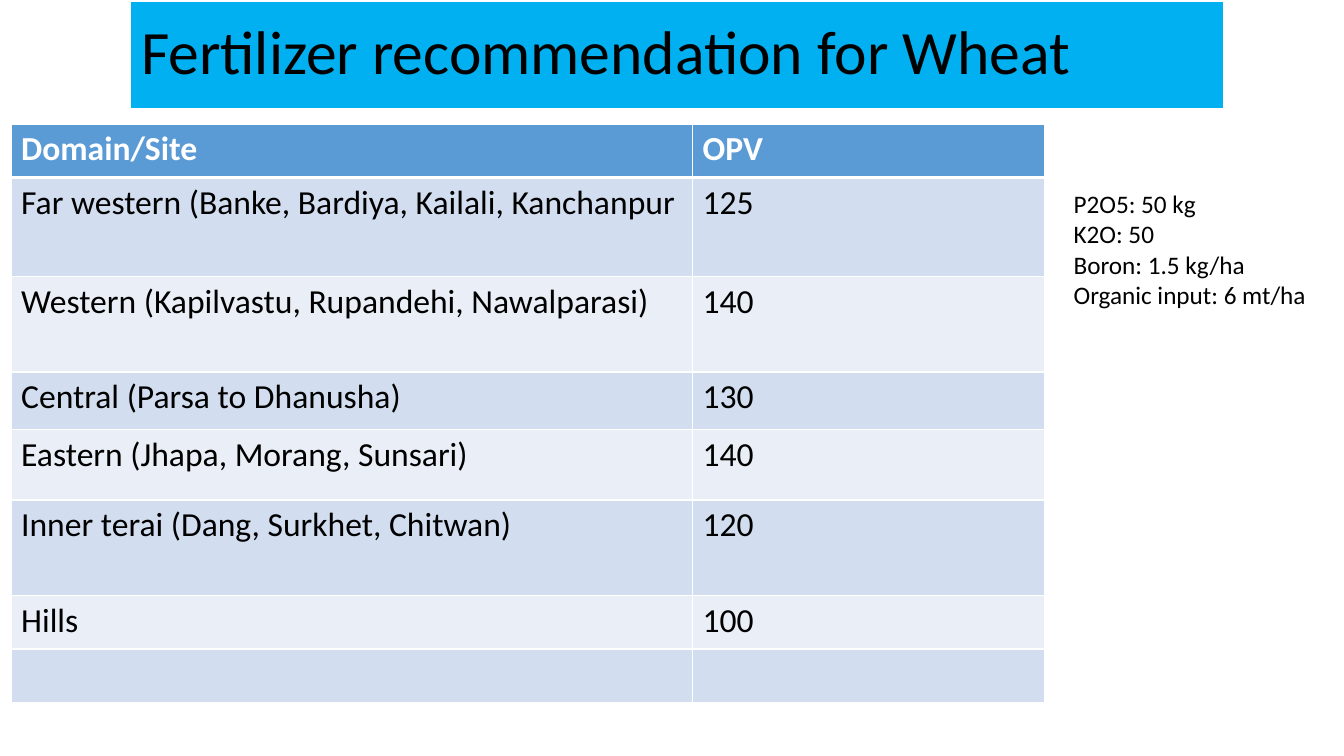
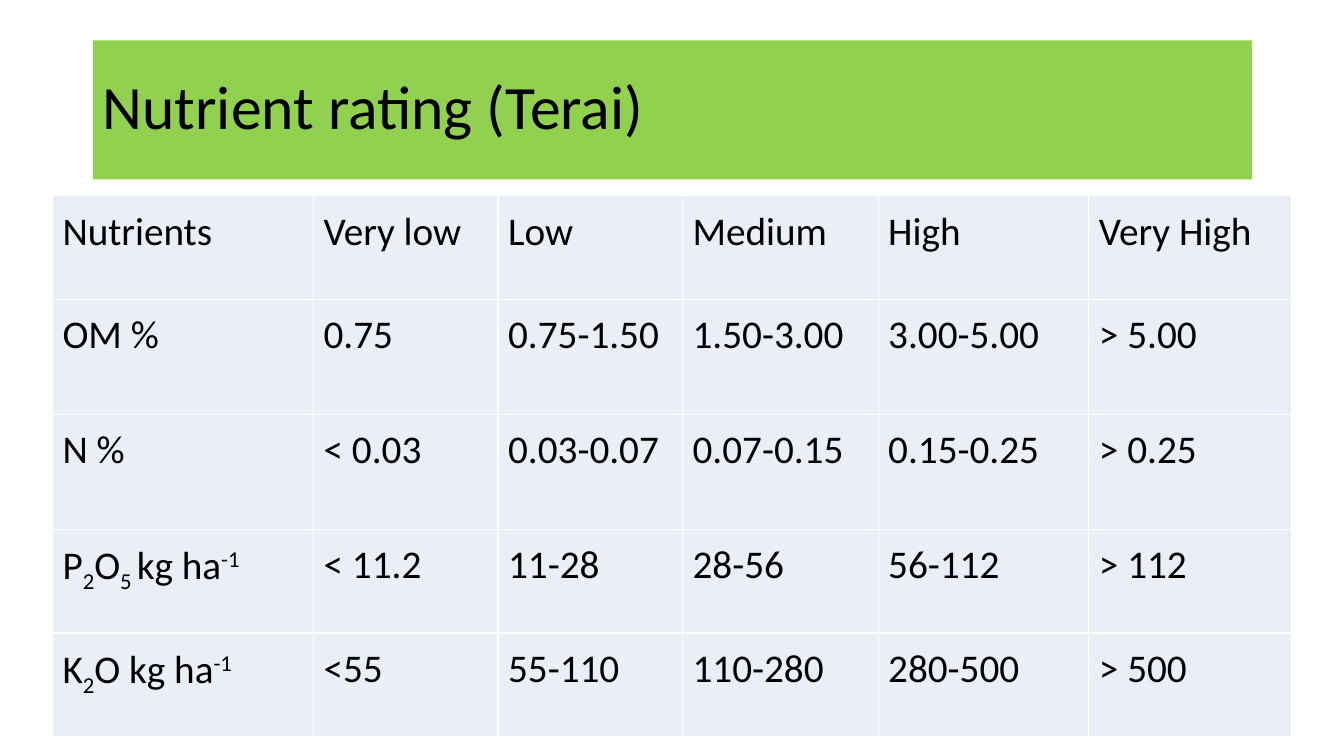
from dataclasses import dataclass

from lxml.etree import SubElement
from pptx import Presentation
from pptx.dml.color import RGBColor as Color
from pptx.enum.text import MSO_ANCHOR as Anchor, MSO_AUTO_SIZE as AutoSize, PP_ALIGN as Align
from pptx.oxml.ns import qn
from pptx.util import Inches, Pt


@dataclass(frozen=True)
class Theme:
    font: str = "Calibri"
    ink: str = "000000"
    paper: str = "FFFFFF"
    wheat_band: str = "00B0F0"
    rating_band: str = "92D050"
    header: str = "5B9BD5"
    row_dark: str = "D2DEEF"
    row_light: str = "EAEFF7"
    title_size: int = 44
    rating_size: int = 28
    site_size: int = 24
    note_size: int = 18
    rule: int = 1
    header_rule: int = 3


THEME = Theme()
BASELINES = {"sub": "-25000", "super": "30000"}

SITES = [
    ("Domain/Site", "OPV"),
    ("Far western (Banke, Bardiya, Kailali, Kanchanpur", "125"),
    ("Western (Kapilvastu, Rupandehi, Nawalparasi)", "140"),
    ("Central (Parsa to Dhanusha)", "130"),
    ("Eastern (Jhapa, Morang, Sunsari)", "140"),
    ("Inner terai (Dang, Surkhet, Chitwan)", "120"),
    ("Hills", "100"),
    ("", ""),
]
INPUTS = ["P2O5: 50 kg", "K2O: 50", "Boron: 1.5 kg/ha", "Organic input: 6 mt/ha"]

PHOSPHATE = [("P", ""), ("2", "sub"), ("O", ""), ("5 ", "sub"), ("kg ha", ""), ("-1", "super")]
POTASH = [("K", ""), ("2", "sub"), ("O kg ha", ""), ("-1", "super")]
RATINGS = [
    ("Nutrients", "Very low", "Low", "Medium", "High", "Very High"),
    ("OM %", "0.75", "0.75-1.50", "1.50-3.00", "3.00-5.00", "> 5.00"),
    ("N %", "< 0.03", "0.03-0.07", "0.07-0.15", "0.15-0.25", "> 0.25"),
    (PHOSPHATE, "< 11.2", "11-28", "28-56", "56-112", "> 112"),
    (POTASH, "<55", "55-110", "110-280", "280-500", "> 500"),
]


def style_font(para, size, color=THEME.ink, bold=False):
    para.font.name = THEME.font
    para.font.size = Pt(size)
    para.font.bold = bold
    para.font.color.rgb = Color.from_string(color)


def write_spans(para, content):
    spans = [(content, "")] if isinstance(content, str) else content
    for text, position in spans:
        if text:
            span = para.add_run()
            span.text = text
            if position:
                span._r.get_or_add_rPr().set("baseline", BASELINES[position])


def add_titled_page(deck, title, box, band):
    page = deck.slides.add_slide(deck.slide_layouts.get_by_name("Title Only"))
    shape = page.shapes.title
    shape.left, shape.top, shape.width, shape.height = map(Inches, box)
    shape.fill.solid()
    shape.fill.fore_color.rgb = Color.from_string(band)
    frame = shape.text_frame
    frame.text = title
    frame.auto_size = AutoSize.NONE
    frame.vertical_anchor = Anchor.MIDDLE
    para = frame.paragraphs[0]
    para.alignment = Align.LEFT
    para.line_spacing = 0.9
    style_font(para, THEME.title_size)
    return page


def add_borders(cell, top, bottom):
    properties = cell._tc.get_or_add_tcPr()
    widths = {"a:lnL": THEME.rule, "a:lnR": THEME.rule, "a:lnT": top, "a:lnB": bottom}
    for tag, width in widths.items():
        line = SubElement(properties, qn(tag), w=str(Pt(width)))
        SubElement(SubElement(line, qn("a:solidFill")), qn("a:srgbClr"), val=THEME.paper)


def add_grid(page, origin, widths, heights, rows, size, fills,
             has_header=False, line_spacing=None, space_after=0):
    left, top = origin
    box = map(Inches, (left, top, sum(widths), sum(heights)))
    table = page.shapes.add_table(len(rows), len(widths), *box).table
    table.first_row = has_header
    table.horz_banding = False
    for column, width in zip(table.columns, widths):
        column.width = Inches(width)
    for row, height in zip(table.rows, heights):
        row.height = Inches(height)
    for row_index, row in enumerate(rows):
        is_header = has_header and row_index == 0
        below_header = has_header and row_index == 1
        fill = THEME.header if is_header else fills[row_index % len(fills)]
        for column_index, content in enumerate(row):
            cell = table.cell(row_index, column_index)
            add_borders(cell,
                        THEME.header_rule if below_header else THEME.rule,
                        THEME.header_rule if is_header else THEME.rule)
            cell.fill.solid()
            cell.fill.fore_color.rgb = Color.from_string(fill)
            para = cell.text_frame.paragraphs[0]
            para.line_spacing = line_spacing
            para.space_after = Pt(space_after)
            style_font(para, size, THEME.paper if is_header else THEME.ink, is_header)
            write_spans(para, content)


def add_note(page, box, lines):
    frame = page.shapes.add_textbox(*map(Inches, box)).text_frame
    frame.word_wrap = True
    frame.auto_size = AutoSize.SHAPE_TO_FIT_TEXT
    frame.text = "\n".join(lines)
    for para in frame.paragraphs:
        style_font(para, THEME.note_size)


def build_wheat_page(deck):
    page = add_titled_page(deck, "Fertilizer recommendation for Wheat",
                           (1.3, 0.02, 10.83, 1.05), THEME.wheat_band)
    add_grid(page, (0.11, 1.23), [6.76, 3.49],
             [0.53, 0.98, 0.95, 0.57, 0.7, 0.95, 0.53, 0.53],
             SITES, THEME.site_size, [THEME.row_light, THEME.row_dark], has_header=True)
    add_note(page, (10.55, 1.82, 2.77, 1.3), INPUTS)


def build_rating_page(deck):
    page = add_titled_page(deck, "Nutrient rating (Terai)",
                           (0.92, 0.4, 11.5, 1.38), THEME.rating_band)
    add_grid(page, (0.52, 1.94), [2.59, 1.83, 1.83, 1.94, 2.09, 2.01],
             [1.03, 1.14, 1.14, 1.03, 1.03],
             RATINGS, THEME.rating_size, [THEME.row_light],
             line_spacing=1.15, space_after=10)


def main():
    deck = Presentation()
    deck.slide_width, deck.slide_height = Inches(13.33), Inches(7.5)
    build_wheat_page(deck)
    build_rating_page(deck)
    deck.save("out.pptx")


if __name__ == "__main__":
    main()
